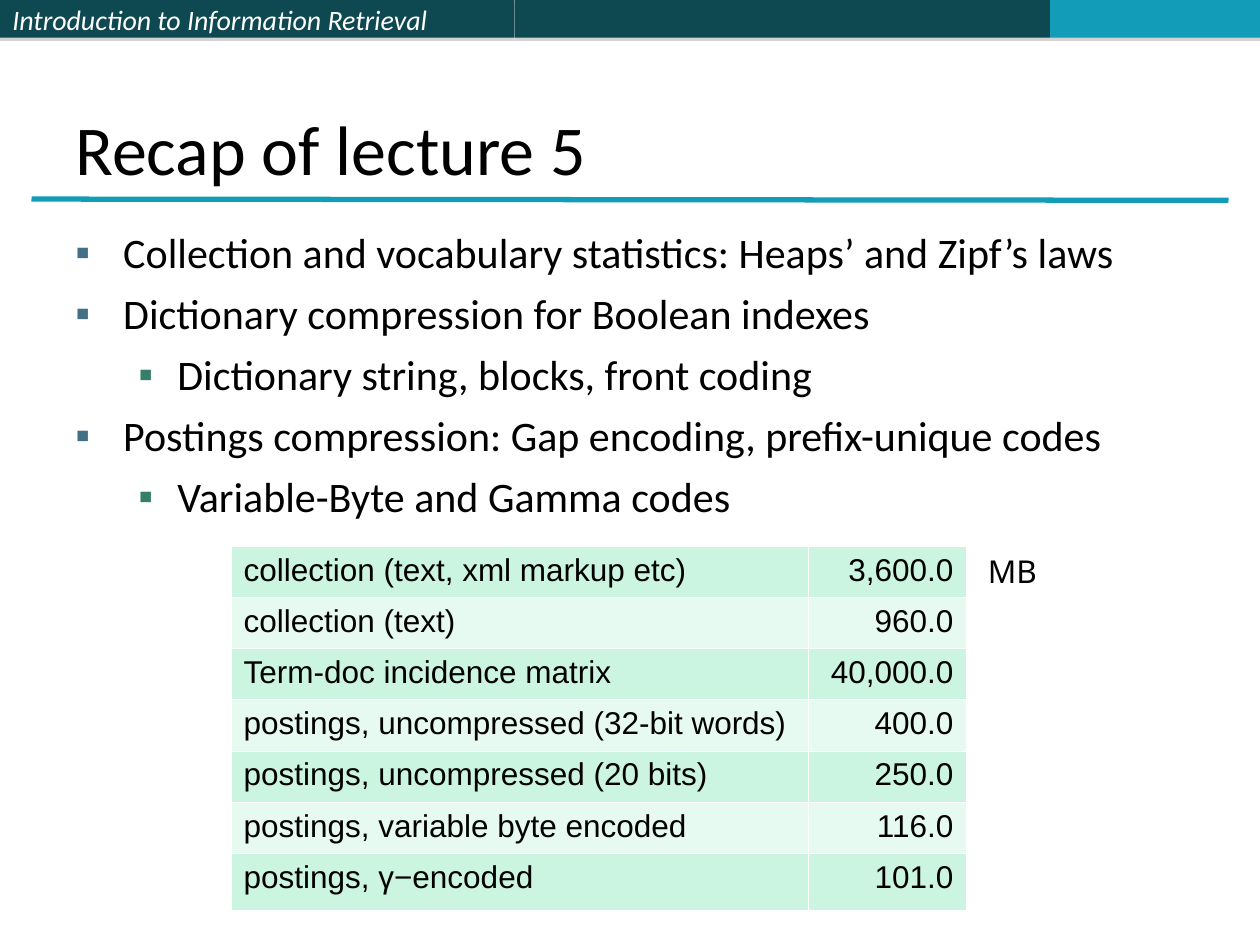
import dataclasses

import pptx
import pptx.dml.color
import pptx.enum.shapes
import pptx.enum.text
import pptx.oxml
import pptx.oxml.ns
import pptx.util
from lxml import etree

ANCHOR = pptx.enum.text.MSO_ANCHOR
ALIGN = pptx.enum.text.PP_ALIGN


@dataclasses.dataclass(frozen=True)
class Theme:
    """Colours, fonts and type sizes of the deck."""
    dark: str = "0E4851"
    accent: str = "139CB7"
    ink: str = "000000"
    paper: str = "FFFFFF"
    shade: str = "808080"
    bands: tuple = ("CBF5E1", "E7FAF1")
    bullets: tuple = ("437085", "357E69")
    indents: tuple = ((0.38, 0.38), (0.81, 0.31))
    main_font: str = "Calibri"
    table_font: str = "Arial"
    unit_font: str = "Noto Sans"
    title: int = 40
    body: int = 24
    small: int = 18
    header: int = 16


class SlideBuilder:
    """Places elements on a page with a grid of 120 columns and 150 rows."""

    def __init__(self, deck, theme):
        self.theme = theme
        self.column = deck.slide_width / 120
        self.row = deck.slide_height / 150
        self.page = deck.slides.add_slide(deck.slide_layouts[6])

    def area(self, left, top, width, height):
        """Turn grid units into slide lengths."""
        return (round(left * self.column), round(top * self.row),
                round(width * self.column), round(height * self.row))

    def colour(self, value):
        """Return a colour object."""
        return pptx.dml.color.RGBColor.from_string(value)

    def element(self, parent, tag, **attributes):
        """Append a drawing element to an XML parent."""
        names = {name: str(value) for name, value in attributes.items()}
        return etree.SubElement(parent, pptx.oxml.ns.qn("a:" + tag), names)

    def style_text(self, para, text, size, font=None, colour=None, italic=None):
        """Set and style the text of a paragraph."""
        para.text = text
        for span in para.runs:
            span.font.size = pptx.util.Pt(size)
            span.font.name = font or self.theme.main_font
            span.font.color.rgb = self.colour(colour or self.theme.ink)
            span.font.italic = italic

    def bar(self, left, width, fill, text=""):
        """Add one segment of the header band."""
        box = self.page.shapes.add_shape(
            pptx.enum.shapes.MSO_SHAPE.RECTANGLE, *self.area(left, 0, width, 6))
        box.fill.solid()
        box.fill.fore_color.rgb = self.colour(fill)
        box.line.fill.background()
        effects = self.element(box.element.spPr, "effectLst")
        shadow = self.element(effects, "outerShdw", blurRad=0, dist=pptx.util.Pt(1.8),
                              dir=5400000, rotWithShape=0)
        tone = self.element(shadow, "srgbClr", val=self.theme.shade)
        self.element(tone, "alpha", val=35000)
        if text:
            box.text_frame.vertical_anchor = ANCHOR.MIDDLE
            para = box.text_frame.paragraphs[0]
            para.alignment = ALIGN.LEFT
            self.style_text(para, text, self.theme.header, colour=self.theme.paper, italic=True)

    def rule(self, left, top, right, bottom):
        """Add the line below the title."""
        start_x, start_y, end_x, end_y = self.area(left, top, right, bottom)
        line = self.page.shapes.add_connector(
            pptx.enum.shapes.MSO_CONNECTOR.STRAIGHT, start_x, start_y, end_x, end_y)
        line.line.color.rgb = self.colour(self.theme.accent)
        line.line.width = pptx.util.Pt(3)
        self.element(line.element.spPr, "effectLst")

    def text(self, place, text, size, font=None, anchor=ANCHOR.TOP, wrap=True):
        """Add a text box with one paragraph."""
        box = self.page.shapes.add_textbox(*self.area(*place))
        box.text_frame.word_wrap = wrap
        box.text_frame.vertical_anchor = anchor
        self.style_text(box.text_frame.paragraphs[0], text, size, font)

    def outline(self, place, items):
        """Add a bulleted list of (level, text) items."""
        frame = self.page.shapes.add_textbox(*self.area(*place)).text_frame
        frame.word_wrap = True
        for index, (level, text) in enumerate(items):
            para = frame.add_paragraph() if index else frame.paragraphs[0]
            para.level = level
            if index:
                para.space_before = pptx.util.Pt(6)
            margin, hang = self.theme.indents[level]
            properties = para._p.get_or_add_pPr()
            properties.set("marL", str(pptx.util.Inches(margin)))
            properties.set("indent", str(-pptx.util.Inches(hang)))
            tone = self.element(properties, "buClr")
            self.element(tone, "srgbClr", val=self.theme.bullets[level])
            self.element(properties, "buFont", typeface="Arial")
            self.element(properties, "buChar", char="▪")
            self.style_text(para, text, self.theme.body)

    def cell(self, cell, text, fill, alignment):
        """Fill, border and label one table cell."""
        for side in ("lnL", "lnR", "lnT", "lnB"):
            border = self.element(cell._tc.get_or_add_tcPr(), side, w=pptx.util.Pt(0.45))
            self.element(self.element(border, "solidFill"), "srgbClr", val=self.theme.paper)
        cell.fill.solid()
        cell.fill.fore_color.rgb = self.colour(fill)
        para = cell.text_frame.paragraphs[0]
        para.alignment = alignment
        self.style_text(para, text, self.theme.small, self.theme.table_font)

    def table(self, left, top, widths, heights, records):
        """Add a banded table of labels and right-aligned numbers."""
        place = self.area(left, top, sum(widths), sum(heights))
        table = self.page.shapes.add_table(len(records), len(widths), *place).table
        for column, width in zip(table.columns, widths):
            column.width = round(width * self.column)
        for index, (record, height) in enumerate(zip(records, heights)):
            table.rows[index].height = round(height * self.row)
            for number, text in enumerate(record):
                self.cell(table.cell(index, number), text, self.theme.bands[index % 2],
                          (ALIGN.LEFT, ALIGN.RIGHT)[number])


def main():
    """Build and save the recap slide."""
    deck = pptx.Presentation()
    deck.slide_width = pptx.util.Inches(10)
    deck.slide_height = pptx.util.Inches(7.5)
    theme = Theme()
    slide = SlideBuilder(deck, theme)
    slide.bar(0, 49, theme.dark, "Introduction to Information Retrieval")
    slide.bar(49, 51, theme.dark)
    slide.bar(100, 20, theme.accent)
    slide.rule(3, 31.6, 117, 31.8)
    slide.text((6, 6, 108, 25), "Recap of lecture 5", theme.title, anchor=ANCHOR.BOTTOM)
    slide.outline((6, 35, 108, 108.4), [
        (0, "Collection and vocabulary statistics: Heaps’ and Zipf’s laws"),
        (0, "Dictionary compression for Boolean indexes"),
        (1, "Dictionary string, blocks, front coding"),
        (0, "Postings compression: Gap encoding, prefix-unique codes"),
        (1, "Variable-Byte and Gamma codes"),
    ])
    slide.table(22, 86.7, (55, 15), [8.13] * 6 + [9], [
        ("collection (text, xml markup etc)", "3,600.0"),
        ("collection (text)", "960.0"),
        ("Term-doc incidence matrix", "40,000.0"),
        ("postings, uncompressed (32-bit words)", "400.0"),
        ("postings, uncompressed (20 bits)", "250.0"),
        ("postings, variable byte encoded", "116.0"),
        ("postings, γ−encoded", "101.0"),
    ])
    slide.text((92.9, 86.7, 7.1, 8), "MB", theme.small, theme.unit_font, wrap=False)
    deck.save("out.pptx")


if __name__ == "__main__":
    main()
